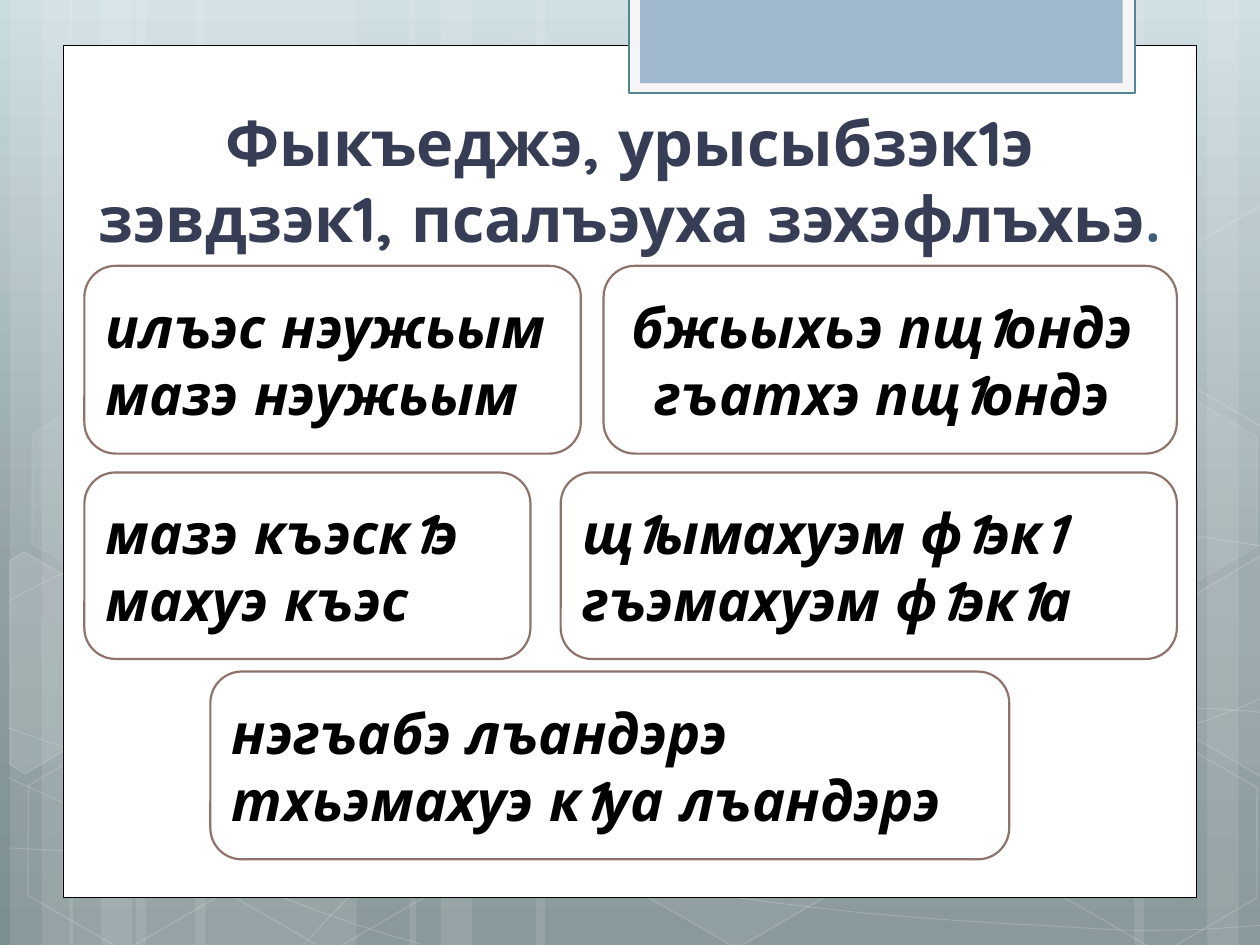
import copy

import pptx
import pptx.dml.color
import pptx.enum.shapes
import pptx.enum.text
import pptx.oxml.ns
import pptx.util
from lxml import etree
from pptx.util import Inches

FONT = "Quicksand"
WHITE = "FFFFFF"
SHAPES = pptx.enum.shapes.MSO_SHAPE
ALIGN = pptx.enum.text.PP_ALIGN
ANCHOR = pptx.enum.text.MSO_ANCHOR
qualified = pptx.oxml.ns.qn

# Left edge, width and rotation of each translucent vertical band
BANDS = [(1.08, 1.75, 0), (0.08, 0.5, 0), (0.33, 0.83, 0), (1.55, 1.75, 0),
         (0.55, 0.5, 0), (0.8, 0.83, 0), (7.33, 1.75, 180), (9.58, 0.5, 180),
         (9, 0.83, 180), (4.25, 3.08, 0), (3.25, 0.5, 0), (3.5, 0.83, 0)]

# Start point, then Bezier segments (six numbers) or straight ones (two)
CURVES = [
    [(0.07, 6.73), (0.61, 6.76, 1.15, 6.79, 1.9, 6.78), (2.65, 6.77, 3.58, 6.75, 4.58, 6.65),
     (5.58, 6.55, 7, 6.36, 7.92, 6.17), (8.83, 5.98, 9.77, 5.68, 10.07, 5.51)],
    [(0.07, 4.77), (0.36, 4.61, 0.65, 4.46, 1.21, 4.31), (1.78, 4.16, 2.59, 3.94, 3.47, 3.87),
     (4.36, 3.8, 5.44, 3.79, 6.54, 3.87), (7.64, 3.95, 9.47, 4.26, 10.07, 4.34)],
    [(0.06, 6.17), (1.27, 6.72, 2.47, 7.27, 3.34, 7.49)],
    [(0.07, 5.78), (0.38, 5.89, 0.7, 6, 1.28, 6.16), (1.86, 6.31, 2.73, 6.56, 3.57, 6.73),
     (4.4, 6.9, 5.45, 7.08, 6.28, 7.18), (7.11, 7.29, 8, 7.33, 8.53, 7.36),
     (9.05, 7.4, 9.19, 7.38, 9.45, 7.38), (9.71, 7.37, 9.89, 7.35, 10.07, 7.34)],
    [(2.42, 7.49), (2.6, 7.29, 2.78, 7.09, 3.02, 6.91), (3.26, 6.73, 3.6, 6.53, 3.88, 6.39),
     (4.16, 6.25, 4.33, 6.19, 4.7, 6.09), (5.06, 5.99, 5.73, 5.85, 6.08, 5.78),
     (6.44, 5.71, 6.49, 5.71, 6.8, 5.69), (7.11, 5.66, 7.6, 5.63, 7.94, 5.62),
     (8.29, 5.61, 8.86, 5.62, 8.86, 5.62), (9.53, 5.62),
     (9.71, 5.63, 9.88, 5.64, 9.97, 5.65), (10.06, 5.66, 10.03, 5.65, 10.06, 5.66)],
]

# Left, top, fill opacity (0 for none), line opacity
HEXAGONS = [(3.34, 0.36, 4, 8), (4.97, 5.89, 6, 12), (0.11, 5.91, 0, 12),
            (0.14, 3.12, 7, 8), (1.74, 5.92, 0, 12), (7.53, 4.53, 10, 12),
            (8.34, 5.93, 0, 12), (8.34, 3.14, 7, 8)]

# Hexagons cut by the slide edge: fill opacity and corners
CUT_HEXAGONS = [
    (10, [(0.08, 4.45), (0.19, 4.38), (0.96, 4.82), (0.95, 5.7), (0.2, 6.14), (0.08, 6.07)]),
    (4, [(9.26, 4.85), (10.01, 4.41), (10.09, 4.46), (10.09, 6.13), (10.02, 6.17), (9.26, 5.73)]),
    (0, [(9.26, 2.07), (10.01, 1.63), (10.1, 1.68), (10.09, 3.35), (10.02, 3.39), (9.26, 2.95)]),
]

# Box (left, top, width, height), paragraphs, alignment
CARDS = [
    ((0.67, 3.75, 3.54, 1.48), ["мазэ къэск1э", "махуэ къэс"], ALIGN.LEFT),
    ((1.67, 5.33, 6.34, 1.49), ["нэгъабэ лъандэрэ тхьэмахуэ к1уа лъандэрэ"], ALIGN.LEFT),
    ((0.67, 2.11, 3.94, 1.49), ["илъэс нэужьым мазэ нэужьым"], ALIGN.LEFT),
    ((4.79, 2.11, 4.55, 1.49), ["бжьыхьэ пщ1ондэ ", "гъатхэ пщ1ондэ "], ALIGN.CENTER),
    ((4.45, 3.75, 4.89, 1.48), ["щ1ымахуэм ф1эк1", "гъэмахуэм ф1эк1а"], ALIGN.LEFT),
]


def rgb(value):
    return pptx.dml.color.RGBColor.from_string(value)


def paint(fill, color, opacity=100):
    """Solid fill with an opacity in percent; none at zero or without a colour."""
    if color is None or opacity == 0:
        fill.background()
        return
    fill.solid()
    fill.fore_color.rgb = rgb(color)
    if opacity < 100:
        node = fill._xPr.find(".//" + qualified("a:srgbClr"))
        etree.SubElement(node, qualified("a:alpha"), val=str(opacity * 1000))


def style(shape, fill=None, opacity=100, line=None, width=1, line_opacity=100):
    shape.shadow.inherit = False
    paint(shape.fill, fill, opacity)
    paint(shape.line.fill, line, line_opacity)
    if line:
        shape.line.width = pptx.util.Pt(width)


def add_block(slide, kind, box, **look):
    shape = slide.shapes.add_shape(kind, *map(Inches, box))
    style(shape, **look)
    return shape


def add_outline(slide, points, close, **look):
    corners = [(Inches(x), Inches(y)) for x, y in points]
    builder = slide.shapes.build_freeform(*corners[0])
    builder.add_line_segments(corners[1:], close=close)
    shape = builder.convert_to_shape()
    style(shape, **look)
    return shape


def add_curve(slide, segments, **look):
    """Outline through the segment ends, with Bezier segments where controls are given."""
    shape = add_outline(slide, [segment[-2:] for segment in segments], False, **look)
    straight_parts = shape.element.findall(".//" + qualified("a:lnTo"))
    for straight, segment in zip(straight_parts, segments[1:]):
        if len(segment) == 2:
            continue
        bend = etree.Element(qualified("a:cubicBezTo"))
        for x, y in zip(segment[::2], segment[1::2]):
            etree.SubElement(bend, qualified("a:pt"), x=str(Inches(x) - shape.left),
                             y=str(Inches(y) - shape.top))
        straight.getparent().replace(straight, bend)


def add_text(paragraph, text, size, color, bold=False, italic=False):
    run = paragraph.add_run()
    run.text = text
    font = run.font
    font.name, font.size = FONT, pptx.util.Pt(size)
    font.bold, font.italic = bold, italic
    font.color.rgb = rgb(color)


def set_background(slide):
    fill = slide.background.fill
    fill.gradient()
    fill.gradient_angle = 270
    stop_list = slide.element.find(".//" + qualified("a:gsLst"))
    stop_list.append(copy.deepcopy(stop_list[-1]))
    stops = [(0, "CBDCE0"), (0.62, "90A0A4"), (1, "7D8E92")]
    for stop, (position, color) in zip(fill.gradient_stops, stops):
        stop.position = position
        stop.color.rgb = rgb(color)


def add_backdrop(slide, height):
    for left, width, rotation in BANDS:
        band = add_block(slide, SHAPES.RECTANGLE, (left, 0, width, height),
                         fill=WHITE, opacity=10)
        band.rotation = rotation
    for segments in CURVES:
        add_curve(slide, segments, line=WHITE, width=0.5, line_opacity=20)
    for left, top, opacity, line_opacity in HEXAGONS:
        hexagon = add_block(slide, SHAPES.HEXAGON, (left, top, 1.75, 1.52), fill=WHITE,
                            opacity=opacity, line=WHITE, line_opacity=line_opacity)
        hexagon.adjustments[0] = 0.285
        hexagon.rotation = 30
    for opacity, corners in CUT_HEXAGONS:
        add_outline(slide, corners, True, fill=WHITE, opacity=opacity,
                    line=WHITE, line_opacity=12)


def add_panel(slide, box):
    add_block(slide, SHAPES.RECTANGLE, box, fill=WHITE, line="000000", width=0.5)
    # Tab hanging from the top edge
    add_block(slide, SHAPES.RECTANGLE, (4.99, -0.02, 4.02, 0.76),
              fill="F5F5F5", line="528693", width=1.25)
    add_block(slide, SHAPES.RECTANGLE, (5.08, -0.02, 3.83, 0.68), fill="9FB8CD")


def add_title(slide, box):
    frame = slide.shapes.add_textbox(*map(Inches, box)).text_frame
    frame.word_wrap = True
    frame.vertical_anchor = ANCHOR.BOTTOM
    paragraph = frame.paragraphs[0]
    paragraph.alignment = ALIGN.CENTER
    add_text(paragraph, "Фыкъеджэ, урысыбзэк1э зэвдзэк1, псалъэуха зэхэфлъхьэ",
             size=36, color="373D54", bold=True)
    add_text(paragraph, ".", size=36, color="3E5D78", bold=True)


def add_card(slide, box, lines, alignment):
    card = add_block(slide, SHAPES.ROUNDED_RECTANGLE, box, fill=WHITE, line="8E736A", width=1.25)
    frame = card.text_frame
    frame.word_wrap = True
    frame.vertical_anchor = ANCHOR.MIDDLE
    for index, line in enumerate(lines):
        paragraph = frame.add_paragraph() if index else frame.paragraphs[0]
        paragraph.alignment = alignment
        add_text(paragraph, line, size=32, color="000000", bold=True, italic=True)


def main():
    presentation = pptx.Presentation()
    presentation.slide_width, presentation.slide_height = Inches(10), Inches(7.5)
    slide = presentation.slides.add_slide(presentation.slide_layouts[6])
    set_background(slide)
    add_backdrop(slide, 7.5)
    add_panel(slide, (0.5, 0.36, 9, 6.76))
    add_title(slide, (0.51, 0.42, 8.98, 1.65))
    for box, lines, alignment in CARDS:
        add_card(slide, box, lines, alignment)
    presentation.save("out.pptx")


if __name__ == "__main__":
    main()
